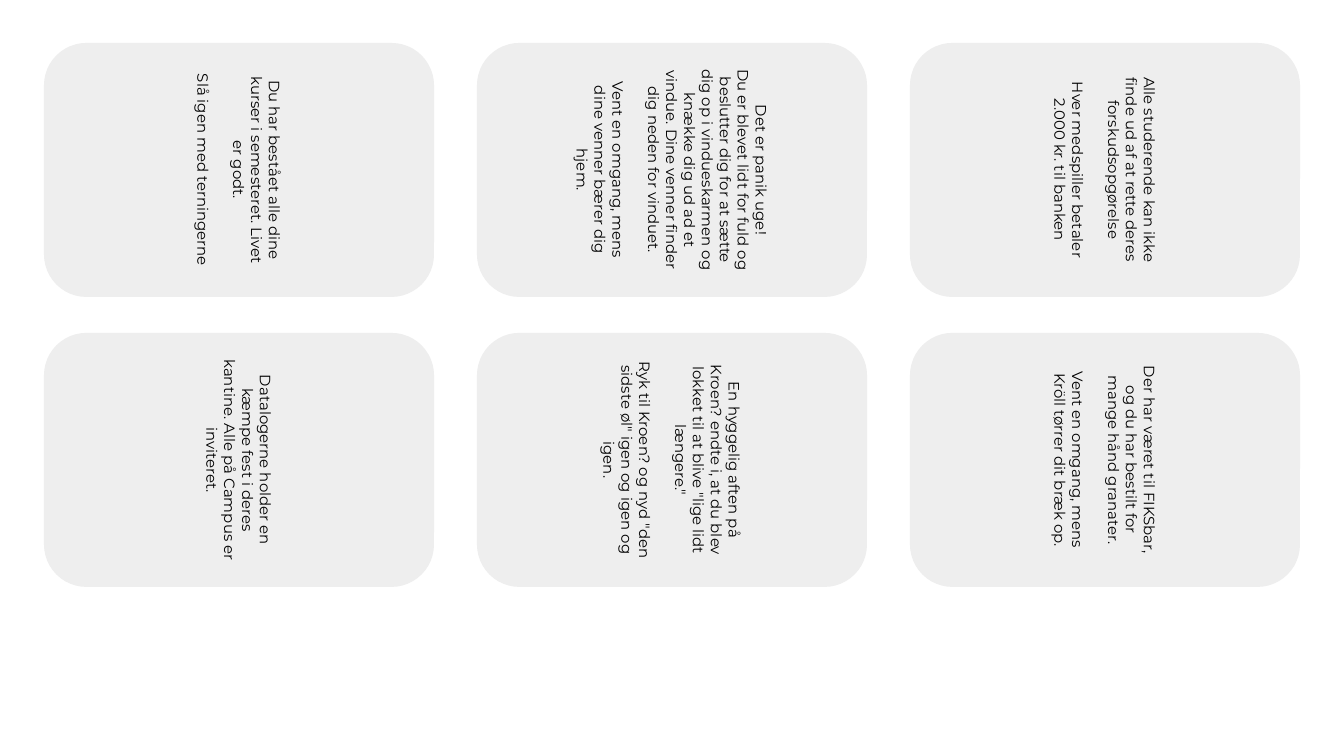
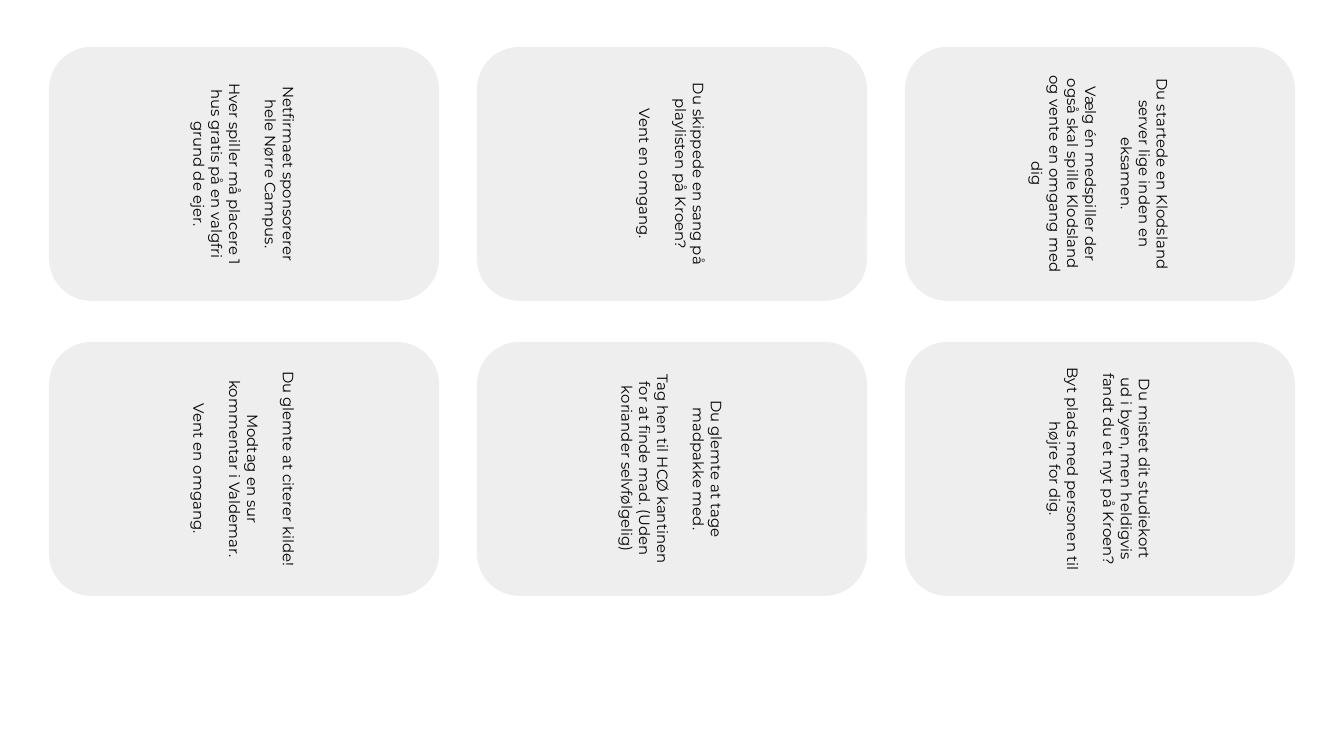
from dataclasses import dataclass

from pptx import Presentation
from pptx.dml.color import RGBColor
from pptx.enum.shapes import MSO_SHAPE
from pptx.enum.text import MSO_ANCHOR, PP_ALIGN
from pptx.util import Emu, Pt

ROUND = MSO_SHAPE.ROUNDED_RECTANGLE
MID = MSO_ANCHOR.MIDDLE
CENTER = PP_ALIGN.CENTER
SCALE = 914400 / 134.4
WIDE, HIGH = 254, 390
INSET, GAP = 13, 18


@dataclass(frozen=True)
class Theme:
    card: RGBColor = RGBColor(0xEE, 0xEE, 0xEE)
    ink: RGBColor = RGBColor(0, 0, 0)
    font: str = "Montserrat"
    size: Pt = Pt(8)


THEME = Theme()


def px(n):
    return Emu(round(n * SCALE))


FRAME = {
    "word_wrap": True,
    "vertical_anchor": MID,
    "margin_left": px(INSET),
    "margin_right": px(INSET),
    "margin_top": px(INSET),
    "margin_bottom": px(INSET),
}
TYPE = {"name": THEME.font, "size": THEME.size}

DECKS = [
    {
        "mid": (672, 170),
        "step": (433, 290),
        "cards": [
            ["Du har bestået alle dine kurser i semesteret. Livet er godt.",
             "Slå igen med terningerne"],
            ["Det er panik uge!\nDu er blevet lidt for fuld og beslutter dig for at sætte "
             "dig op i vindueskarmen og knække dig ud ad et vindue. "
             "Dine venner finder dig neden for vinduet.",
             "Vent en omgang, mens dine venner bærer dig hjem."],
            ["Alle studerende kan ikke finde ud af at rette deres forskudsopgørelse",
             "Hver medspiller betaler 2.000 kr. til banken"],
            ["Datalogerne holder en kæmpe fest i deres kantine. "
             "Alle på Campus er inviteret."],
            ["En hyggelig aften på Kroen? endte i, at du blev lokket til at blive "
             '"lige lidt længere."',
             'Ryk til Kroen? og nyd "den sidste øl" igen og igen og igen.'],
            ["Der har været til FIKSbar, og du har bestilt for mange hånd granater.",
             "Vent en omgang, mens Kröll tørrer dit bræk op."],
        ],
    },
    {
        "mid": (672, 174),
        "step": (428, 295),
        "cards": [
            ["Netfirmaet sponsorerer hele Nørre Campus.",
             "Hver spiller må placere 1 hus gratis på en valgfri grund de ejer."],
            ["Du skippede en sang på playlisten på Kroen?",
             "Vent en omgang."],
            ["Du startede en Klodsland server lige inden en eksamen.",
             "Vælg én medspiller der også skal spille Klodsland "
             "og vente en omgang med dig"],
            ["Du glemte at citerer kilde!",
             "Modtag en sur kommentar i Valdemar.",
             "Vent en omgang."],
            ["Du glemte at tage madpakke med.",
             "Tag hen til HCØ kantinen for at finde mad. (Uden koriander selvfølgelig)"],
            ["Du mistet dit studiekort ud i byen, men heldigvis fandt du et nyt på Kroen?",
             "Byt plads med personen til højre for dig."],
        ],
    },
]


def add_card(slide, x, y, parts):
    card = slide.shapes.add_shape(
        ROUND, px(x - WIDE / 2), px(y - HIGH / 2), px(WIDE), px(HIGH))
    card.rotation = 90
    card.adjustments[0] = 0.167
    card.shadow.inherit = False
    card.fill.solid()
    card.fill.fore_color.rgb = THEME.card
    card.line.fill.background()
    frame = card.text_frame
    for key, val in FRAME.items():
        setattr(frame, key, val)
    for i, part in enumerate(parts):
        for j, line in enumerate(part.split("\n")):
            para = frame.add_paragraph() if i or j else frame.paragraphs[0]
            para.alignment = CENTER
            if i and not j:
                para.space_before = px(GAP)
            run = para.add_run()
            run.text = line
            for key, val in TYPE.items():
                setattr(run.font, key, val)
            run.font.color.rgb = THEME.ink


prs = Presentation()
prs.slide_width, prs.slide_height = px(1344), px(756)

for deck in DECKS:
    slide = prs.slides.add_slide(prs.slide_layouts[6])
    left, top = deck["mid"]
    across, down = deck["step"]
    for n, parts in enumerate(deck["cards"]):
        row, col = divmod(n, 3)
        add_card(slide, left + (col - 1) * across, top + row * down, parts)

prs.save("out.pptx")
